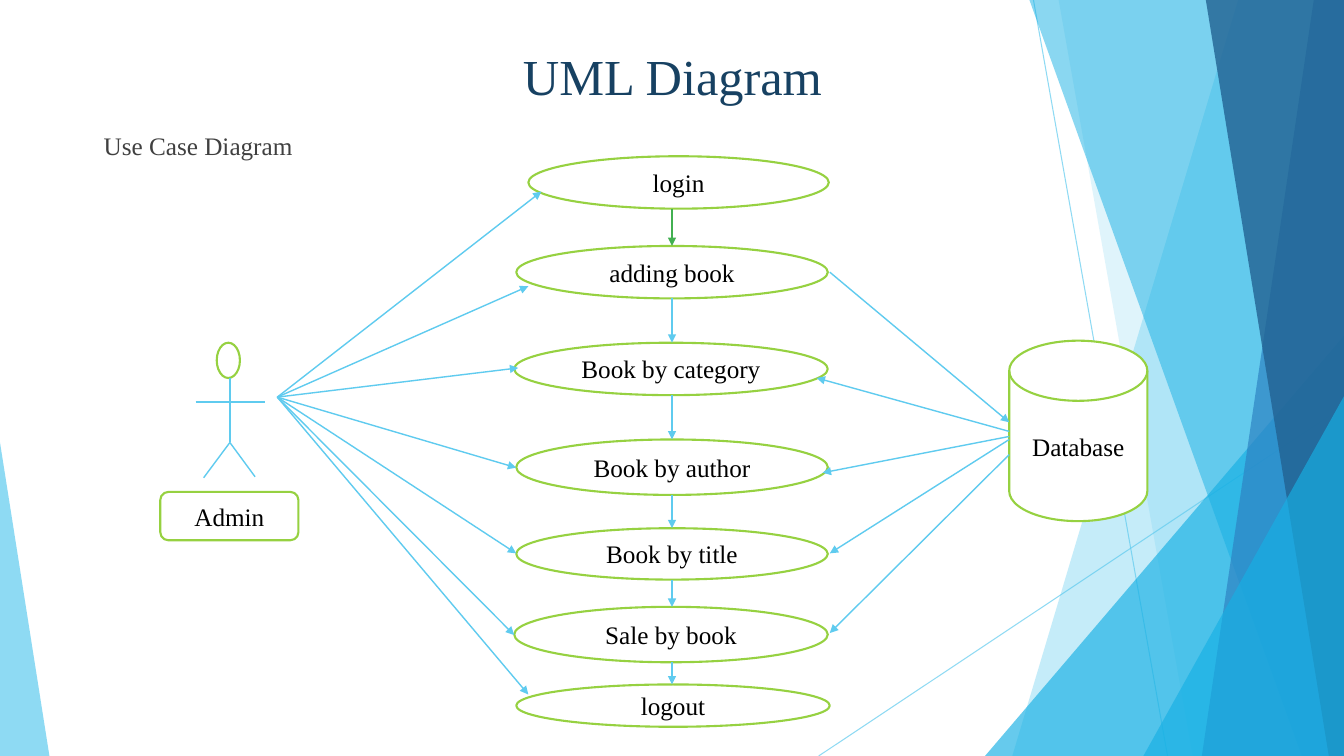
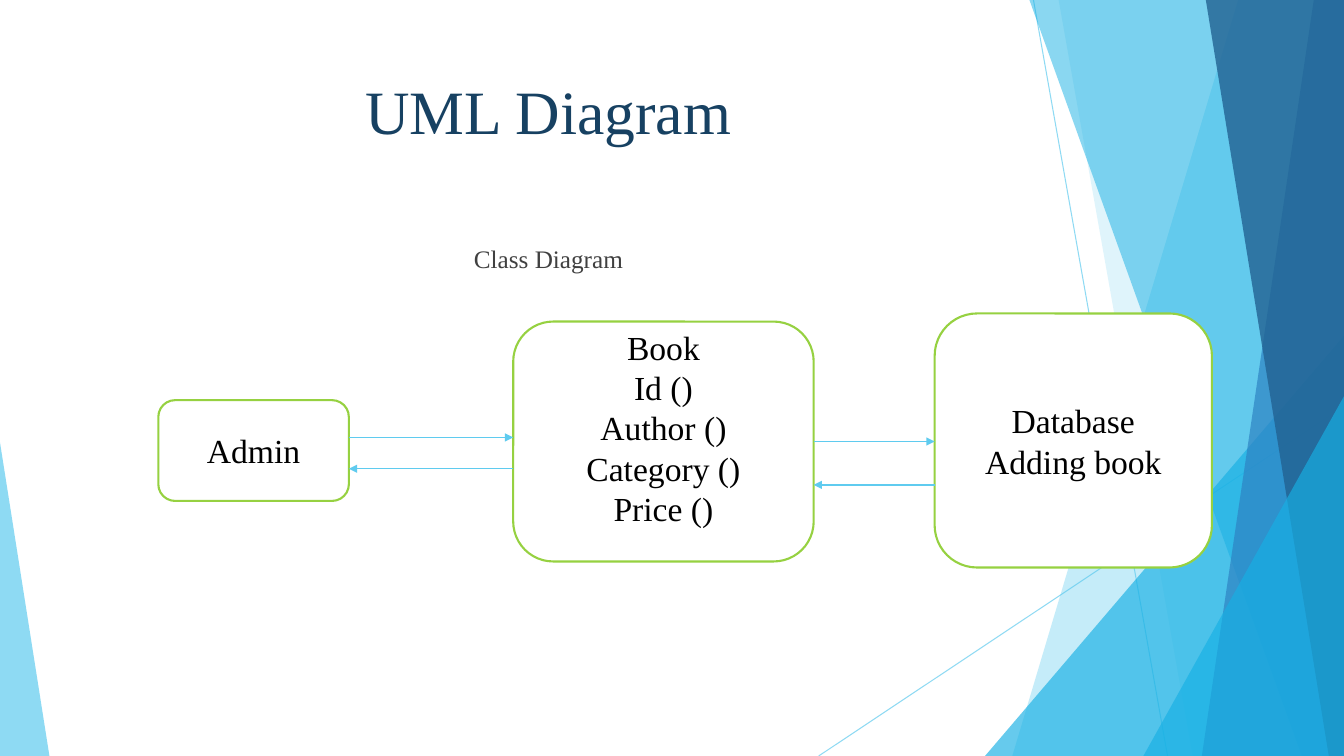
from dataclasses import dataclass

from lxml import etree
from pptx import Presentation
from pptx.dml.color import RGBColor
from pptx.enum import shapes, text
from pptx.oxml.ns import qn
from pptx.util import Inches, Pt


@dataclass(frozen=True)
class Theme:
    """Colours, font and type sizes of the deck."""

    font: str = "Times New Roman"
    title: str = "174162"
    caption: str = "404040"
    ink: str = "000000"
    paper: str = "FFFFFF"
    outline: str = "96D141"
    sky: str = "5FCBEF"
    cyan: str = "17B0E4"
    blue: str = "2E83C3"
    navy: str = "226292"
    green: str = "42B051"
    body_size: int = 18
    class_size: int = 24
    compact_title: int = 36
    full_title: int = 44


@dataclass(frozen=True)
class Box:
    """A rectangle in inches."""

    left: float
    top: float
    width: float
    height: float

    def at(self, across, down):
        """Return the point at an offset from the top left corner."""
        return self.left + across, self.top + down

    def inner(self, across, down, width, height):
        """Return a box at an offset from the top left corner."""
        return Box(*self.at(across, down), width, height)

    def emu(self):
        """Return the four lengths for a shape."""
        return [Inches(value) for value in (self.left, self.top, self.width, self.height)]


THEME = Theme()
PAGE = Box(0, 0, 13.33, 7.5)
SHAPE = shapes.MSO_SHAPE
ALIGN = text.PP_ALIGN
ANCHOR = text.MSO_ANCHOR

USE_CASES = [
    ("login", 0.14, 0, 2.98, 0.52),
    ("adding book", 0.02, 0.89, 3.09, 0.52),
    ("Book by category", 0, 1.85, 3.11, 0.52),
    ("Book by author", 0.02, 2.81, 3.09, 0.55),
    ("Book by title", 0.02, 3.69, 3.09, 0.51),
    ("Sale by book", 0, 4.47, 3.11, 0.55),
    ("logout", 0.02, 5.24, 3.11, 0.42),
]
ADMIN_TARGETS = [
    (0.27, 0.35), (0.14, 1.29), (0.04, 2.1), (0.02, 3.09),
    (0.02, 3.94), (0, 4.75), (0.14, 5.34),
]
DATABASE_TARGETS = [
    (0.9, 3, 2.2), (0.95, 3.06, 3.14), (0.98, 3.13, 3.94), (1.13, 3.13, 4.73),
]


def rgb(value):
    """Turn a hex string into a colour."""
    return RGBColor.from_string(value)


def set_alpha(item, percent):
    """Make the first colour of a shape translucent."""
    color = next(item.element.spPr.iter(qn("a:srgbClr")))
    etree.SubElement(color, qn("a:alpha")).set("val", str(percent * 1000))


def write(frame, content, size, color, align=ALIGN.CENTER, anchor=ANCHOR.MIDDLE):
    """Fill a text frame and format its runs."""
    frame.text = content
    frame.word_wrap = True
    frame.auto_size = text.MSO_AUTO_SIZE.NONE
    frame.vertical_anchor = anchor
    for para in frame.paragraphs:
        para.alignment = align
        for span in para.runs:
            span.font.name = THEME.font
            span.font.size = Pt(size)
            span.font.color.rgb = rgb(color)


def add_line(holder, start, end, color=THEME.sky, width=1, arrow=True):
    """Draw a straight line, with an arrowhead at its end if wanted."""
    points = [Inches(value) for value in (*start, *end)]
    line = holder.shapes.add_connector(shapes.MSO_CONNECTOR.STRAIGHT, *points)
    line.line.color.rgb = rgb(color)
    line.line.width = Pt(width)
    outline = line.element.spPr.find(qn("a:ln"))
    if arrow:
        etree.SubElement(outline, qn("a:tailEnd")).set("type", "triangle")
    etree.SubElement(line.element.spPr, qn("a:effectLst"))
    return line


def add_node(page, kind, box, content="", size=THEME.body_size):
    """Draw a white diagram shape with a green outline."""
    node = page.shapes.add_shape(kind, *box.emu())
    node.shadow.inherit = False
    node.fill.solid()
    node.fill.fore_color.rgb = rgb(THEME.paper)
    node.line.color.rgb = rgb(THEME.outline)
    node.line.width = Pt(1.5)
    if content:
        write(node.text_frame, content, size, THEME.ink)
    return node


def tint(item, color, alpha):
    """Give a backdrop shape a translucent fill and no outline."""
    item.shadow.inherit = False
    item.fill.solid()
    item.fill.fore_color.rgb = rgb(color)
    item.line.fill.background()
    set_alpha(item, alpha)


def add_panel(group, box, top, foot, color, alpha):
    """Draw a slanted panel that reaches the right edge of the box."""
    right, bottom = box.at(box.width, box.height)
    corners = [box.at(top, 0), (right, box.top), (right, bottom), box.at(foot, box.height)]
    points = [(Inches(across), Inches(down)) for across, down in corners]
    builder = group.shapes.build_freeform(*points[0])
    builder.add_line_segments(points[1:], close=True)
    tint(builder.convert_to_shape(), color, alpha)


def add_wedge(group, box, peak, color, alpha):
    """Draw a right-angled triangle with its peak at one side."""
    wedge = group.shapes.add_shape(SHAPE.ISOSCELES_TRIANGLE, *box.emu())
    wedge.adjustments[0] = peak
    tint(wedge, color, alpha)


def add_backdrop(page, layout, box):
    """Draw the facets and move them to the shared layout."""
    group = page.shapes.add_group_shape()
    for start, end in [((10.25, 0), (11.58, 7.5)), ((13.33, 4.03), (8.12, 7.5))]:
        ray = add_line(group, box.at(*start), box.at(*end), width=0.75, arrow=False)
        set_alpha(ray, 70)
    add_panel(group, box, 12.28, 10.04, THEME.sky, 36)
    add_panel(group, box, 10.5, 11.83, THEME.sky, 20)
    add_wedge(group, box.inner(9.77, 3.33, 3.56, 4.17), 1, THEME.cyan, 66)
    add_panel(group, box, 10.21, 12.91, THEME.cyan, 50)
    add_panel(group, box, 13.03, 11.92, THEME.blue, 70)
    add_panel(group, box, 11.96, 13.18, THEME.navy, 80)
    add_wedge(group, box.inner(11.34, 3.93, 1.99, 3.57), 1, THEME.cyan, 66)
    add_wedge(group, box.inner(0, 4.39, 0.49, 3.11), 0, THEME.sky, 70)
    for number, item in enumerate(group.element.iter(qn("p:cNvPr")), 100):
        item.set("id", str(number))
    layout.shapes.element.insert(2, group.element)


def add_heading(page, box, size):
    """Place and format the slide title."""
    title = page.shapes.title
    title.left, title.top, title.width, title.height = box.emu()
    write(title.text_frame, "UML Diagram", size, THEME.title, anchor=ANCHOR.TOP)


def add_caption(page, box, content, align):
    """Write the name of the diagram below the title."""
    caption = page.shapes.add_textbox(*box.emu())
    write(caption.text_frame, content, THEME.body_size, THEME.caption, align, ANCHOR.TOP)


def add_actor(page, box):
    """Draw the stick figure and its label."""
    add_node(page, SHAPE.OVAL, box.inner(0.56, 0, 0.23, 0.35))
    hip = (0.69, 0.99)
    limbs = [
        ((0.69, 0.35), hip),
        ((0.35, 0.59), (1.04, 0.59)),
        ((0.43, 1.34), hip),
        ((0.94, 1.33), hip),
    ]
    for start, end in limbs:
        add_line(page, box.at(*start), box.at(*end), arrow=False)
    add_node(page, SHAPE.ROUNDED_RECTANGLE, box.inner(0, 1.48, 1.37, 0.48), "Admin")


def add_use_cases(page, box):
    """Draw the column of use cases and the steps between them."""
    ovals = [box.inner(*place) for _, *place in USE_CASES]
    for (name, *_), oval in zip(USE_CASES, ovals):
        add_node(page, SHAPE.OVAL, oval, name)
    center = box.left + box.width / 2
    for index, (upper, lower) in enumerate(zip(ovals, ovals[1:])):
        color = THEME.sky if index else THEME.green
        add_line(page, (center, upper.top + upper.height), (center, lower.top), color)


def add_links(page, actor, column, store):
    """Connect the actor and the database with the use cases."""
    for target in ADMIN_TARGETS:
        add_line(page, actor.at(1.16, 0.54), column.at(*target))
    add_line(page, column.at(3.13, 1.15), store.at(0, 0.81))
    for down, *target in DATABASE_TARGETS:
        add_line(page, store.at(0, down), column.at(*target))


def build_use_case_page(page, box):
    """Build the use case diagram."""
    add_heading(page, box.inner(0.92, 0.4, 11.5, 0.71), THEME.compact_title)
    add_caption(page, box.inner(0.93, 1.24, 4, 0.45), "Use Case Diagram", ALIGN.LEFT)
    actor = box.inner(1.59, 3.4, 1.37, 1.96)
    column = box.inner(5.1, 1.55, 3.13, 5.66)
    store = box.inner(10.01, 3.38, 1.37, 1.79)
    add_actor(page, actor)
    add_use_cases(page, column)
    add_node(page, SHAPE.FLOWCHART_MAGNETIC_DISK, store, "Database")
    add_links(page, actor, column, store)


def add_exchange(page, left, right, forth, back):
    """Draw a pair of opposite arrows between two boxes."""
    start, end = left.left + left.width, right.left
    add_line(page, (start, forth), (end, forth))
    add_line(page, (end, back), (start, back))


def add_classes(page, box):
    """Draw the three classes and their exchanges."""
    admin = box.inner(0, 0.86, 1.89, 1)
    book = box.inner(3.52, 0.08, 2.98, 2.38)
    store = box.inner(7.7, 0, 2.75, 2.52)
    members = "Book\nId ()\nAuthor ()\nCategory ()\nPrice ()"
    classes = [(admin, "Admin"), (book, members), (store, "Database\nAdding book")]
    nodes = [
        add_node(page, SHAPE.ROUNDED_RECTANGLE, place, content, THEME.class_size)
        for place, content in classes
    ]
    nodes[1].text_frame.margin_bottom = Inches(0.33)
    add_exchange(page, admin, book, box.top + 1.23, box.top + 1.54)
    add_exchange(page, book, store, box.top + 1.27, box.top + 1.7)


def build_class_page(page, box):
    """Build the class diagram."""
    add_heading(page, box.inner(0.74, 0.67, 9.4, 1.44), THEME.full_title)
    add_caption(page, box.inner(0.74, 2.36, 9.4, 0.45), "Class Diagram", ALIGN.CENTER)
    add_classes(page, box.inner(1.57, 3.11, 10.45, 2.52))


def main():
    """Build and save the deck."""
    deck = Presentation()
    deck.slide_width, deck.slide_height = Inches(PAGE.width), Inches(PAGE.height)
    layout = deck.slide_layouts.get_by_name("Title Only")
    pages = [deck.slides.add_slide(layout) for _ in range(2)]
    add_backdrop(pages[0], layout, PAGE)
    build_use_case_page(pages[0], PAGE)
    build_class_page(pages[1], PAGE)
    deck.save("out.pptx")


if __name__ == "__main__":
    main()
